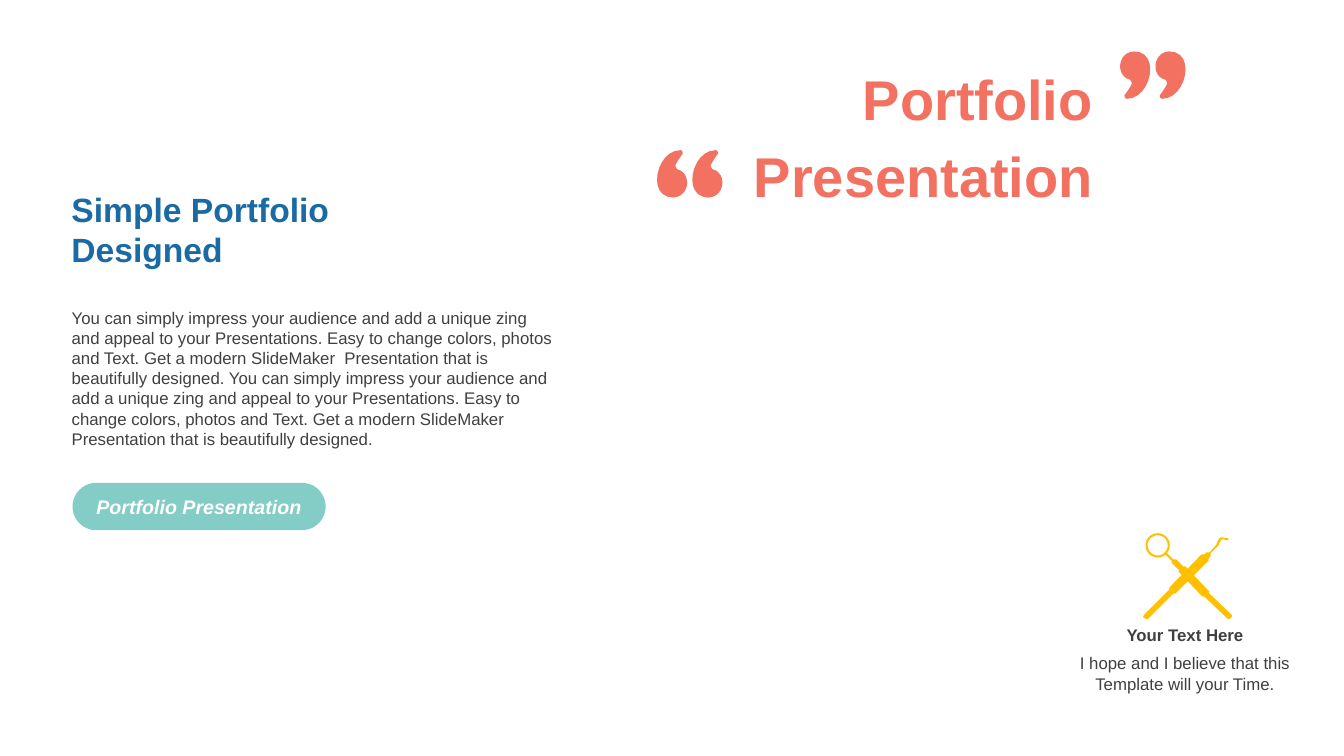
"""Build the portfolio presentation slide with quote marks and a dental tools icon."""
import math

import pptx
import pptx.dml.color
import pptx.enum.shapes
import pptx.enum.text
import pptx.oxml
import pptx.util

ALIGN = pptx.enum.text.PP_ALIGN
ANCHOR = pptx.enum.text.MSO_ANCHOR

WIDTH, HEIGHT = pptx.util.Inches(13.33), pptx.util.Inches(7.5)
HUNDREDTH = pptx.util.Inches(0.01)

THEME = {
    "font": "Arial",
    "coral": "F27161", "teal": "84CCC6", "blue": "1A6BA5",
    "amber": "FFC000", "ink": "404040", "white": "FFFFFF",
    "title": 40, "heading": 24, "button": 14, "text": 12,
}

PITCH = ("You can simply impress your audience and add a unique zing and appeal to your "
         "Presentations. Easy to change colors, photos and Text. Get a modern SlideMaker  "
         "Presentation that is beautifully designed.")

TEXTS = {
    "title": {"text": "Portfolio Presentation", "box": (47.63, 7.2, 34.43, 20.5),
              "size": "title", "color": "coral", "font": {"bold": True},
              "paragraph": {"alignment": ALIGN.RIGHT, "line_spacing": 1.15},
              "frame": {"vertical_anchor": ANCHOR.MIDDLE}},
    "pitch": {"text": f"{PITCH} {PITCH}", "box": (4.58, 40, 37.65, 20.13),
              "size": "text", "color": "ink", "font": {"bold": False},
              "paragraph": {"alignment": ALIGN.LEFT},
              "frame": {"vertical_anchor": ANCHOR.TOP}},
    "heading": {"text": "Simple Portfolio Designed", "box": (4.58, 24.27, 21.75, 12.13),
                "size": "heading", "color": "blue", "font": {"bold": True},
                "paragraph": {"alignment": ALIGN.LEFT}, "frame": {}},
    "button": {"text": "Portfolio Presentation", "box": (5.4, 63.87, 18.83, 6.27),
               "size": "button", "color": "white", "font": {"bold": True, "italic": True},
               "paragraph": {"alignment": ALIGN.CENTER},
               "frame": {"vertical_anchor": ANCHOR.MIDDLE}},
    "label": {"text": "Your Text Here", "box": (79.58, 82, 17.18, 4),
              "size": "text", "color": "ink", "font": {"bold": True},
              "paragraph": {"alignment": ALIGN.CENTER}, "frame": {}},
    "caption": {"text": "I hope and I believe that this Template will your Time.",
                "box": (79.58, 85.73, 17.18, 6.67),
                "size": "text", "color": "ink", "font": {"bold": False},
                "paragraph": {"alignment": ALIGN.CENTER}, "frame": {}},
}

QUOTE_SIZE = (31, 48)
QUOTE_PITCH = 35
QUOTE_START = (15, 1)
QUOTE_CURVES = [
    ((42, 1), (32, 48), (8, 48)),
    ((6, 48), (5, 45), (6, 44)),
    ((9, 40), (11, 37), (13, 33)),
    ((13, 32), (12, 30), (11, 29)),
    ((-3, 26), (-2, 2), (15, 1)),
]
QUOTES = [((48.9, 19.87), True), ((83.25, 6.67), False)]

ICON_CORNER = (85.05, 70.4)
PROBE = [
    (65, 28), (65, 26), (67, 24), (67, 21), (75, 13), (76, 10), (78, 7), (80, 7),
    (83, 8), (85, 7), (84, 6), (81, 6), (79, 5), (77, 5), (75, 7), (74, 9), (73, 12),
    (66, 20), (63, 20), (61, 22), (58, 22), (26, 55), (26, 57), (1, 82), (0, 84),
    (1, 85), (3, 86), (5, 86), (30, 61), (32, 61),
]
MIRROR_HANDLE = [
    (24, 21), (30, 27), (33, 27), (40, 34), (42, 34), (65, 58), (66, 59), (65, 60),
    (88, 82), (88, 84), (86, 86), (84, 86), (61, 64), (59, 64), (36, 40), (35, 39),
    (36, 38), (29, 31), (28, 30), (29, 29), (22, 22),
]
MIRROR_CENTER = (14.5, 13)
MIRROR_RADII = (12, 10)


def rgb(name):
    return pptx.dml.color.RGBColor.from_string(THEME[name])


def place(x, y):
    return round(WIDTH * x / 100), round(HEIGHT * y / 100)


def apply(target, values):
    for name, value in values.items():
        setattr(target, name, value)


def write(shape, entry):
    frame = shape.text_frame
    frame.text = entry["text"]
    apply(frame, {"word_wrap": True, "auto_size": pptx.enum.text.MSO_AUTO_SIZE.NONE,
                  **entry["frame"]})
    paragraph = frame.paragraphs[0]
    apply(paragraph, {"space_before": pptx.util.Pt(0), **entry["paragraph"]})
    apply(paragraph.runs[0].font, {"name": THEME["font"],
                                   "size": pptx.util.Pt(THEME[entry["size"]]),
                                   **entry["font"]})
    paragraph.runs[0].font.color.rgb = rgb(entry["color"])


def paint(shape, color):
    shape.shadow.inherit = False
    shape.fill.solid()
    shape.fill.fore_color.rgb = rgb(color)
    shape.line.fill.background()


def draw(shapes, corner, contours, color):
    left, top = place(*corner)
    builder = None
    for contour in contours:
        points = [(left + x * HUNDREDTH, top + y * HUNDREDTH) for x, y in contour]
        if builder is None:
            builder = shapes.build_freeform(*points[0], scale=1.0)
        else:
            builder.move_to(*points[0])
        builder.add_line_segments(points[1:], close=True)
    paint(builder.convert_to_shape(), color)


def quote_outline(steps=12):
    points = [QUOTE_START]
    for first, second, end in QUOTE_CURVES:
        start = points[-1]
        for step in range(1, steps + 1):
            t = step / steps
            points.append(tuple(
                (1 - t) ** 3 * a + 3 * (1 - t) ** 2 * t * b + 3 * (1 - t) * t ** 2 * c + t ** 3 * d
                for a, b, c, d in zip(start, first, second, end)))
    return points


def arc(radius, start, end, step=6):
    x, y = MIRROR_CENTER
    return [(x + radius * math.cos(math.radians(angle)), y + radius * math.sin(math.radians(angle)))
            for angle in range(start, end, step)]


def main():
    deck = pptx.Presentation()
    apply(deck, {"slide_width": WIDTH, "slide_height": HEIGHT})
    slide = deck.slides.add_slide(deck.slide_layouts[1])
    shapes = slide.shapes
    placeholders = {"title": shapes.title, "pitch": slide.placeholders[1]}

    for part, entry in TEXTS.items():
        x, y, w, h = entry["box"]
        box = (*place(x, y), *place(w, h))
        if part in placeholders:
            area = placeholders[part]
            apply(area, dict(zip(("left", "top", "width", "height"), box)))
        elif part == "button":
            area = shapes.add_shape(pptx.enum.shapes.MSO_SHAPE.ROUNDED_RECTANGLE, *box)
            area.adjustments[0] = 0.5
            paint(area, "teal")
        else:
            area = shapes.add_textbox(*box)
        write(area, entry)

    pitch_format = placeholders["pitch"].text_frame.paragraphs[0]._p.get_or_add_pPr()
    for name in ("marL", "indent"):
        pitch_format.set(name, "0")
    pitch_format.append(pptx.oxml.parse_xml(
        '<a:buNone xmlns:a="http://schemas.openxmlformats.org/drawingml/2006/main"/>'))

    outline = quote_outline()
    turned = [(QUOTE_SIZE[0] - x, QUOTE_SIZE[1] - y) for x, y in outline]
    for corner, opening in QUOTES:
        for index in range(2):
            mark = [(x + index * QUOTE_PITCH, y) for x, y in (turned if opening else outline)]
            draw(shapes, corner, [mark], "coral")

    outer, inner = MIRROR_RADII
    draw(shapes, ICON_CORNER, [PROBE], "amber")
    draw(shapes, ICON_CORNER,
         [arc(outer, 51, 400) + MIRROR_HANDLE, arc(inner, 0, 360)[::-1]], "amber")
    deck.save("out.pptx")


if __name__ == "__main__":
    main()
